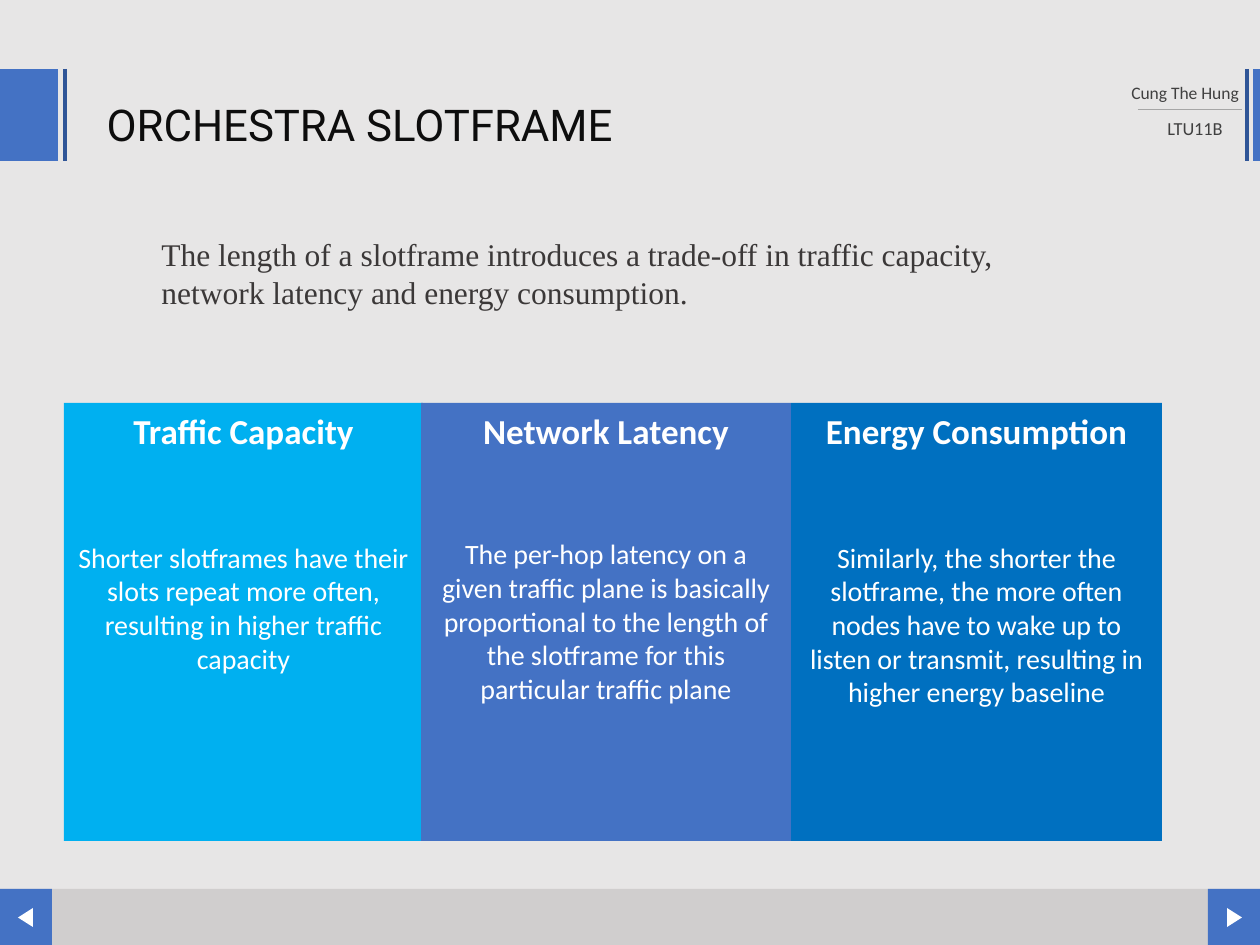
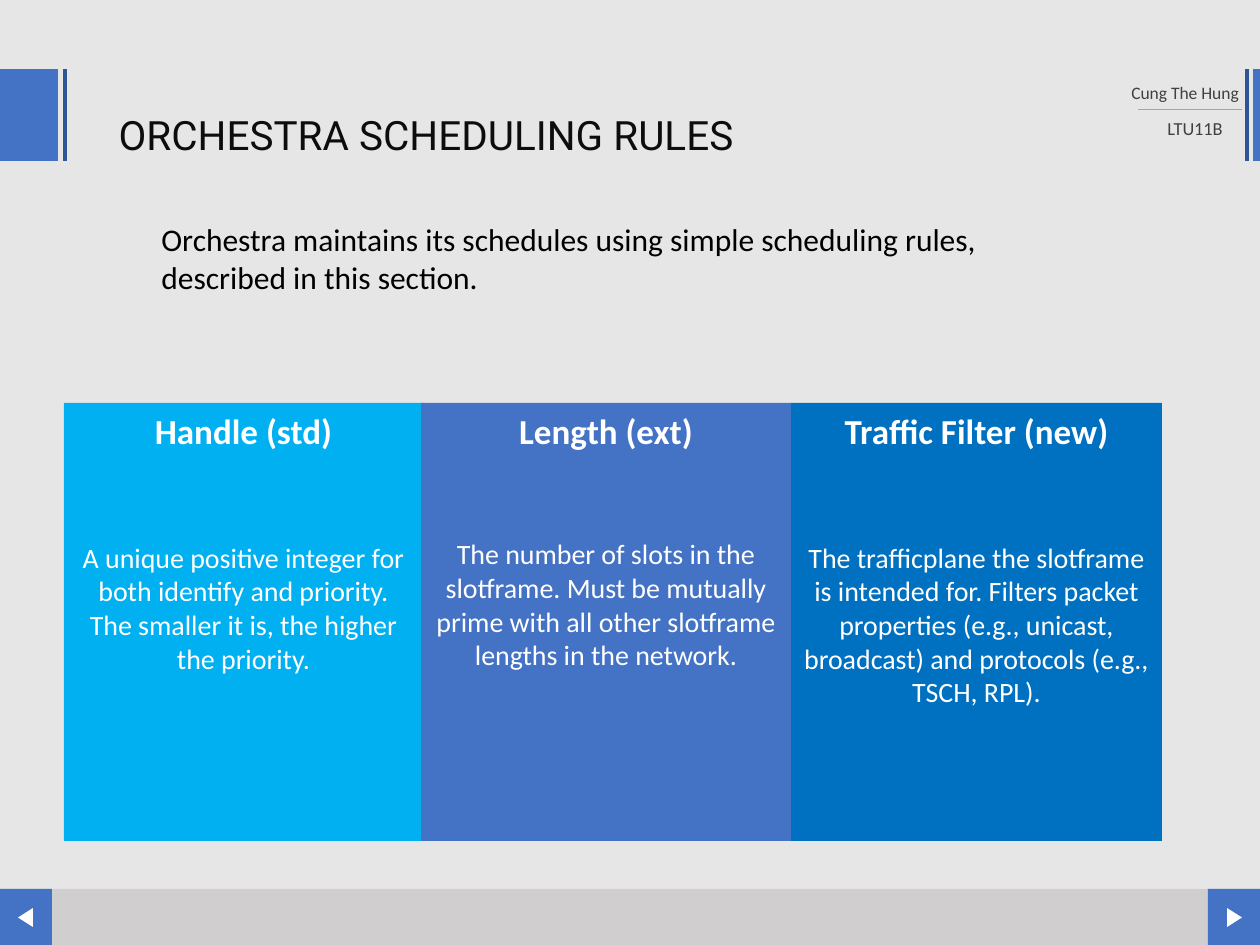
"""Build two slides on slotframes, each with a lead text and three cards."""
import pptx
import pptx.dml.color
import pptx.enum.shapes
import pptx.enum.text
import pptx.oxml
import pptx.oxml.ns
import pptx.util

SCALE = 914400 / 126
WIDE, HIGH = 1260, 945
PAGE, BAR, BLUE, NAVY = "E7E6E6", "D0CECE", "4472C4", "2F5597"
SKY, DEEP, WHITE = "00B0F0", "0070C0", "FFFFFF"
BLACK, INK, DARK, GREY, RULE = "000000", "0D0D0D", "3B3838", "404040", "A6A6A6"
SANS, HEAD, SERIF = "Calibri", "Roboto", "Times New Roman"
KIND = pptx.enum.shapes.MSO_SHAPE
ALIGN = pptx.enum.text.PP_ALIGN
ANCHOR = pptx.enum.text.MSO_ANCHOR
SIZING = pptx.enum.text.MSO_AUTO_SIZE
CARDS = [(64, 359, SKY, 51), (421, 370, BLUE, 49), (791, 371, DEEP, 51)]


def px(count):
    return round(count * SCALE)


def color(code):
    return pptx.dml.color.RGBColor.from_string(code)


class Deck:
    def __init__(self):
        self.show = pptx.Presentation()
        self.show.slide_width = px(WIDE)
        self.show.slide_height = px(HIGH)
        self.slide = None

    def start(self):
        self.slide = self.show.slides.add_slide(self.show.slide_layouts[5])
        fill = self.slide.background.fill
        fill.solid()
        fill.fore_color.rgb = color(PAGE)

    def style(self, para, size, tint, face=SANS, bold=False, align=ALIGN.LEFT):
        para.alignment = align
        font = para.font
        font.size = pptx.util.Pt(size)
        font.name = face
        font.bold = bold
        font.color.rgb = color(tint)

    def shape(self, x, y, w, h, fill, kind=KIND.RECTANGLE, turn=0):
        item = self.slide.shapes.add_shape(kind, px(x), px(y), px(w), px(h))
        item.shadow.inherit = False
        item.fill.solid()
        item.fill.fore_color.rgb = color(fill)
        item.line.fill.background()
        item.rotation = turn
        return item

    def line(self, x, y, right, low, tint, width):
        item = self.slide.shapes.add_connector(
            pptx.enum.shapes.MSO_CONNECTOR.STRAIGHT, px(x), px(y), px(right), px(low))
        item.line.color.rgb = color(tint)
        item.line.width = pptx.util.Pt(width)
        props = item._element.find(pptx.oxml.ns.qn("p:spPr"))
        props.append(pptx.oxml.parse_xml(
            "<a:effectLst %s/>" % pptx.oxml.ns.nsdecls("a")))

    def text(self, x, y, w, h, words, size, tint, face=SANS, align=ALIGN.LEFT):
        box = self.slide.shapes.add_textbox(px(x), px(y), px(w), px(h))
        frame = box.text_frame
        frame.word_wrap = True
        frame.auto_size = SIZING.SHAPE_TO_FIT_TEXT
        frame.text = words
        self.style(frame.paragraphs[0], size, tint, face, align=align)

    def title(self, x, y, words, size, space):
        item = self.slide.shapes.title
        item.left, item.top = px(x), px(y)
        item.width, item.height = px(1032), px(57)
        frame = item.text_frame
        frame.text = words
        frame.word_wrap = True
        frame.auto_size = SIZING.NONE
        frame.vertical_anchor = ANCHOR.TOP
        para = frame.paragraphs[0]
        para.line_spacing = space
        self.style(para, size, INK, HEAD)

    def frame(self):
        self.shape(0, 889, WIDE, 56, BAR)
        for x, tip, turn in ((1208, 1225, 90), (0, 16, 270)):
            self.shape(x, 889, 52, 56, BLUE)
            self.shape(tip, 910, 19, 15, WHITE, KIND.ISOSCELES_TRIANGLE, turn)
        for x, w, edge in ((1253, 7, 1247), (0, 58, 65)):
            self.shape(x, 69, w, 92, BLUE)
            self.line(edge, 69, edge, 161, NAVY, 2.25)
        self.text(1107, 76, 156, 34, "Cung The Hung", 10, GREY, align=ALIGN.CENTER)
        self.text(1143, 111, 104, 35, "LTU11B", 10.5, GREY, align=ALIGN.CENTER)
        self.line(1138, 109, 1242, 109, RULE, 0.5)

    def card(self, x, w, fill, gap, head, body):
        frame = self.shape(x, 403, w, 438, fill).text_frame
        frame.word_wrap = True
        frame.vertical_anchor = ANCHOR.TOP
        frame.text = head
        self.style(frame.paragraphs[0], 20, WHITE, bold=True, align=ALIGN.CENTER)
        para = frame.add_paragraph()
        para.text = body
        para.space_before = pptx.util.Pt(gap)
        self.style(para, 16, WHITE, align=ALIGN.CENTER)

    def page(self, title, lead, cards):
        self.start()
        self.frame()
        self.title(*title)
        y, words, tint, face = lead
        self.text(149, y, 914, 89, words, 18, tint, face)
        for place, words in zip(CARDS, cards):
            self.card(*place, *words)


def main():
    deck = Deck()
    deck.page(
        (94, 88, "ORCHESTRA SLOTFRAME", 25, 1.07),
        (229, "The length of a slotframe introduces a trade-off in traffic capacity, "
         "network latency and energy consumption.", DARK, SERIF),
        [("Traffic Capacity", "Shorter slotframes have their slots repeat more often, "
          "resulting in higher traffic capacity"),
         ("Network Latency", "The per-hop latency on a given traffic plane is basically "
          "proportional to the length of the slotframe for this particular traffic plane"),
         ("Energy Consumption", "Similarly, the shorter the slotframe, the more often nodes "
          "have to wake up to listen or transmit, resulting in higher energy baseline")])
    deck.page(
        (106, 110, "ORCHESTRA SCHEDULING RULES", 23.1, 0.87),
        (214, "Orchestra maintains its schedules using simple scheduling rules, "
         "described in this section.", BLACK, SANS),
        [("Handle (std)", "A unique positive integer for both identify and priority. "
          "The smaller it is, the higher the priority."),
         ("Length (ext)", "The number of slots in the slotframe. Must be mutually prime "
          "with all other slotframe lengths in the network."),
         ("Traffic Filter (new)", "The trafficplane the slotframe is intended for. Filters "
          "packet properties (e.g., unicast, broadcast) and protocols (e.g., TSCH, RPL).")])
    deck.show.save("out.pptx")


if __name__ == "__main__":
    main()
